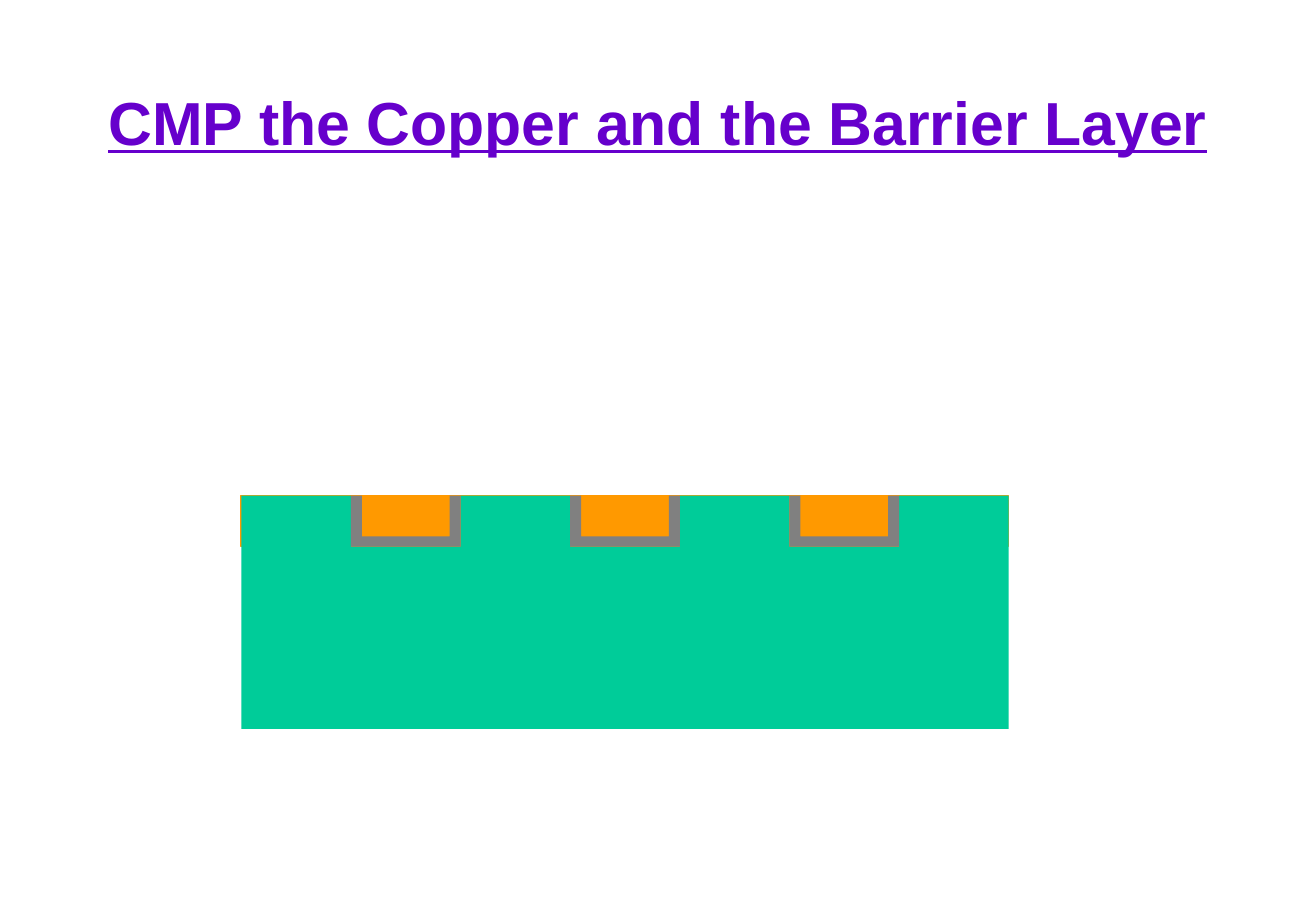
"""Draw a wafer cross-section after copper and barrier-layer polishing."""
from dataclasses import dataclass

from pptx import Presentation
from pptx import util as u
from pptx.dml.color import RGBColor
from pptx.enum import shapes, text
from pptx.shapes.base import BaseShape
from pptx.slide import Slide

PX = u.Inches(1) // 1200
PURPLE = RGBColor(0x66, 0x00, 0xCC)
COPPER = RGBColor(0xFF, 0x99, 0x00)
OXIDE = RGBColor(0x00, 0xCC, 0x99)
BARRIER = RGBColor(0x80, 0x80, 0x80)

LEFT, TOP, BOTTOM = 2384, 4896, 7200
PITCH, DEPTH, WALL = 1083, 504, 108
COPPER_LEFT = LEFT - 4
FLOOR, LINER_FLOOR = TOP + DEPTH, TOP + DEPTH - 102
WIDTH = 7 * PITCH
RIGHT = LEFT + WIDTH
TRENCHES = [LEFT + index * PITCH for index in (1, 3, 5)]

Point = tuple[int, int]


@dataclass(frozen=True)
class Layer:
    """A closed, filled outline in px."""

    points: list[Point]
    colour: RGBColor


def trench(left: int) -> list[Point]:
    """Return the outer outline of a trench, from left to right."""
    right = left + PITCH
    return [(left, TOP), (left, FLOOR), (right, FLOOR), (right, TOP)]


def oxide() -> Layer:
    """Return the oxide with its trenches cut out."""
    notches = [point for left in TRENCHES for point in trench(left)]
    points = [(LEFT, BOTTOM), (LEFT, TOP), *notches, (RIGHT, TOP), (RIGHT, BOTTOM)]
    return Layer(points, OXIDE)


def barrier(left: int) -> Layer:
    """Return the barrier that lines one trench."""
    inner_left, inner_right = left + WALL, left + PITCH - WALL
    inner = [(inner_right, TOP), (inner_right, LINER_FLOOR),
             (inner_left, LINER_FLOOR), (inner_left, TOP)]
    return Layer(trench(left) + inner, BARRIER)


def paint(shape: BaseShape, colour: RGBColor) -> None:
    """Give a shape a flat fill without a shadow."""
    shape.shadow.inherit = False
    shape.fill.solid()
    shape.fill.fore_color.rgb = colour


def add_copper(slide: Slide) -> None:
    """Add the copper band behind the trenches."""
    shape = slide.shapes.add_shape(
        shapes.MSO_SHAPE.RECTANGLE, COPPER_LEFT * PX, TOP * PX, WIDTH * PX, DEPTH * PX)
    paint(shape, COPPER)
    shape.line.color.rgb = COPPER
    shape.line.width = u.Pt(1)


def add_layer(slide: Slide, layer: Layer) -> None:
    """Add one freeform layer without an outline."""
    start, *rest = layer.points
    builder = slide.shapes.build_freeform(*start, scale=PX)
    builder.add_line_segments(rest, close=True)
    shape = builder.convert_to_shape()
    paint(shape, layer.colour)
    shape.line.fill.background()


def add_title(slide: Slide) -> None:
    """Add the centred, underlined title."""
    shape = slide.shapes.add_textbox(542 * PX, 444 * PX, 11916 * PX, 1500 * PX)
    frame = shape.text_frame
    frame.word_wrap = True
    frame.vertical_anchor = text.MSO_ANCHOR.MIDDLE
    paragraph = frame.paragraphs[0]
    paragraph.alignment = text.PP_ALIGN.CENTER
    run = paragraph.add_run()
    run.text = "CMP the Copper and the Barrier Layer"
    formats = {"name": "Arial", "size": u.Pt(36), "bold": True, "underline": True}
    for attribute, value in formats.items():
        setattr(run.font, attribute, value)
    run.font.color.rgb = PURPLE


def main() -> None:
    """Build the slide and save it."""
    presentation = Presentation()
    presentation.slide_width = 13000 * PX
    presentation.slide_height = 9000 * PX
    slide = presentation.slides.add_slide(presentation.slide_layouts[6])
    add_title(slide)
    add_copper(slide)
    for layer in [oxide(), *map(barrier, TRENCHES)]:
        add_layer(slide, layer)
    presentation.save("out.pptx")


if __name__ == "__main__":
    main()
